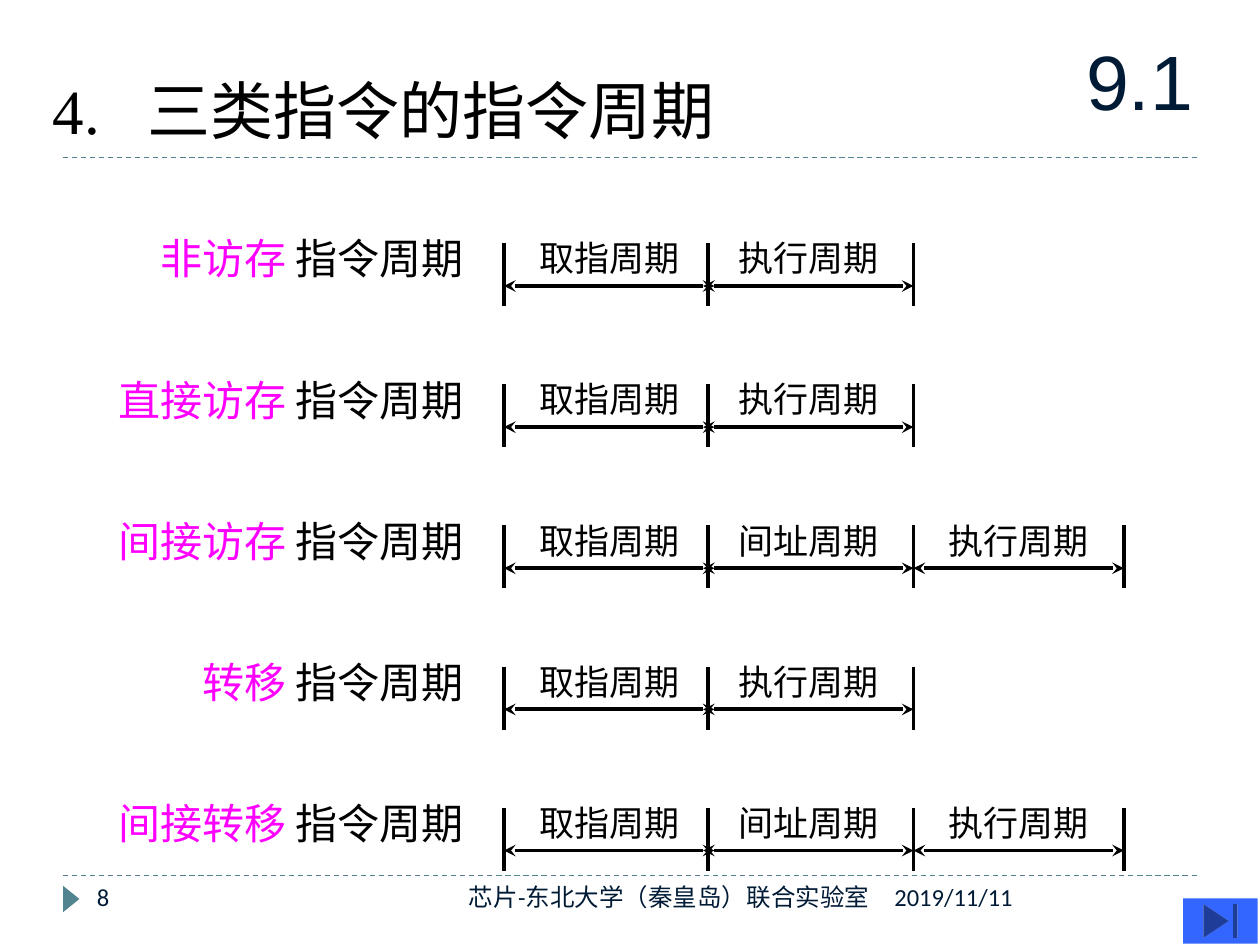
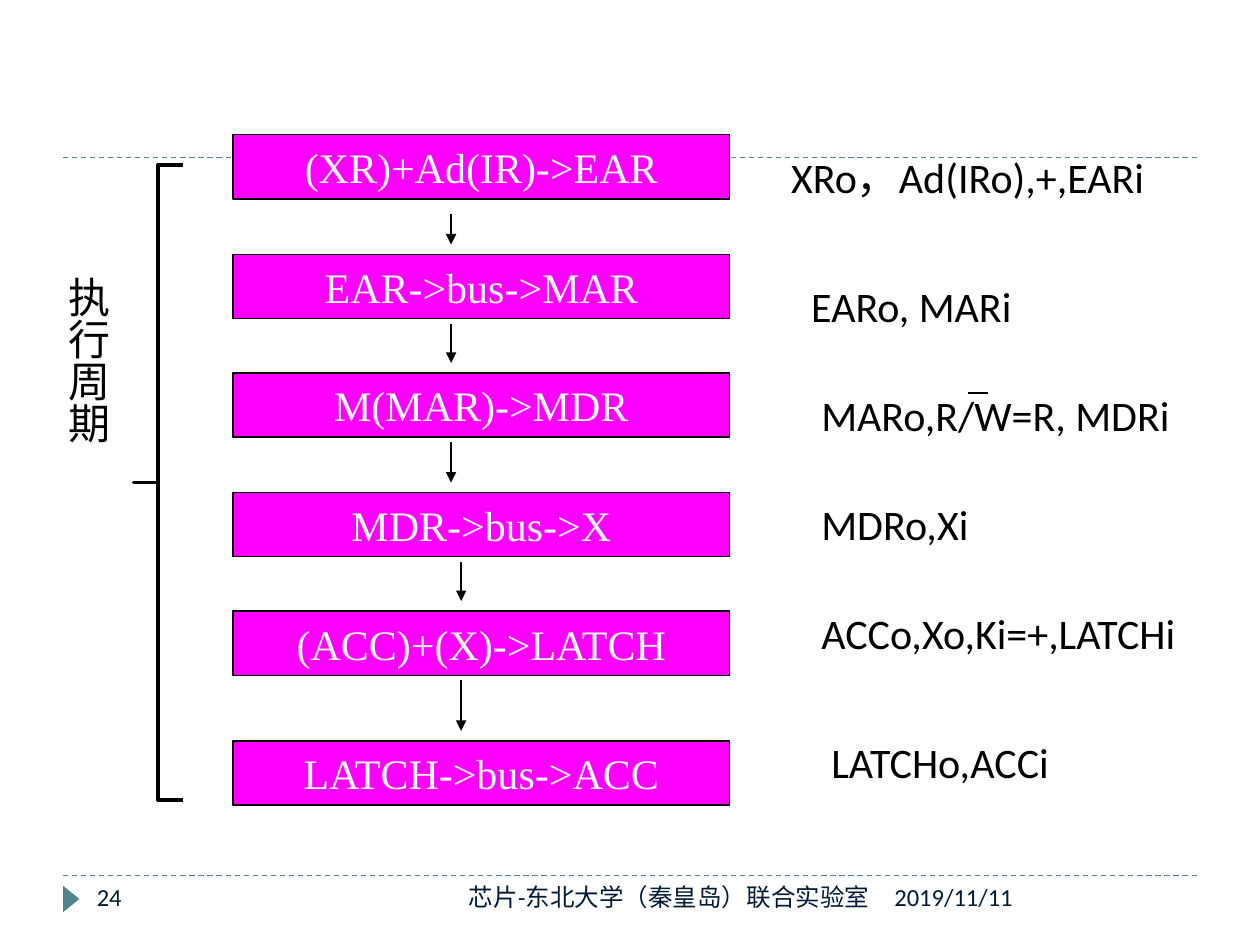
from dataclasses import dataclass

from lxml.etree import SubElement
from pptx import Presentation
from pptx.dml.color import RGBColor
from pptx.enum.dml import MSO_LINE
from pptx.enum.shapes import MSO_CONNECTOR, MSO_SHAPE as SHAPE
from pptx.enum.text import MSO_ANCHOR as ANCHOR, MSO_AUTO_SIZE, PP_ALIGN as ALIGN
from pptx.oxml.ns import qn
from pptx.util import Inches, Pt


@dataclass(frozen=True)
class Theme:
    black: str = "000000"
    navy: str = "001B36"
    teal: str = "51848E"
    magenta: str = "FF00FF"
    pale: str = "EDF8FE"
    blue: str = "3366FF"
    serif: str = "Times New Roman"
    sans: str = "Calibri"
    section_font: str = "Arial"
    section: int = 44
    title: int = 36
    body: int = 24
    label: int = 20
    footer: int = 14
    thin: float = 0.75
    medium: float = 2
    thick: float = 2.25


T = Theme()


def write(sp, text, size, font, color, align=ALIGN.LEFT, anchor=ANCHOR.TOP):
    tf = sp.text_frame
    tf.word_wrap = True
    tf.auto_size = MSO_AUTO_SIZE.NONE
    tf.vertical_anchor = anchor
    p = tf.paragraphs[0]
    p.text = text
    p.alignment = align
    for r in p.runs:
        r.font.size = Pt(size)
        r.font.name = font
        r.font.color.rgb = RGBColor.from_string(color)
    return p


def line(s, x1, y1, x2, y2, width, color=T.black, head=None, tail=None):
    c = s.shapes.add_connector(MSO_CONNECTOR.STRAIGHT, *map(Inches, (x1, y1, x2, y2)))
    c.line.width = Pt(width)
    c.line.color.rgb = RGBColor.from_string(color)
    ln = c.line._get_or_add_ln()
    for tag, kind in (("a:headEnd", head), ("a:tailEnd", tail)):
        if kind:
            SubElement(ln, qn(tag)).set("type", kind)
    SubElement(c._element.spPr, qn("a:effectLst"))
    return c


prs = Presentation()
prs.slide_width, prs.slide_height = Inches(10), Inches(7.5)

for layout, number in ((5, "8"), (6, "24")):
    s = prs.slides.add_slide(prs.slide_layouts[layout])
    for y in (6.95, 1.25):
        line(s, 0.5, y, 9.5, y, T.thin, T.teal).line.dash_style = MSO_LINE.DASH
    sp = s.shapes.add_shape(SHAPE.ISOSCELES_TRIANGLE, *map(Inches, (0.46, 7.07, 0.21, 0.13)))
    sp.rotation = 90
    sp.shadow.inherit = False
    sp.fill.solid()
    sp.fill.fore_color.rgb = RGBColor.from_string(T.teal)
    sp.line.fill.background()
    for text, x, w, align in (
        ("2019/11/11", 7, 2.5, ALIGN.LEFT),
        (number, 0.67, 2.17, ALIGN.LEFT),
        ("芯片-东北大学（秦皇岛）联合实验室", 3.17, 3.83, ALIGN.RIGHT),
    ):
        sp = s.shapes.add_textbox(*map(Inches, (x, 6.95, w, 0.4)))
        write(sp, text, T.footer, T.sans, T.navy, align)

cycles, execution = prs.slides

s = cycles
sp = s.shapes.title
sp.left, sp.top, sp.width, sp.height = map(Inches, (0.42, 0.58, 6, 0.58))
p = write(sp, "4.\t三类指令的指令周期", T.title, T.serif, T.black, anchor=ANCHOR.MIDDLE)
sp.text_frame.margin_left = sp.text_frame.margin_right = 0
tabs = SubElement(p._p.get_or_add_pPr(), qn("a:tabLst"))
SubElement(tabs, qn("a:tab"), pos=str(Inches(0.75)), algn="l")

sp = s.shapes.add_textbox(*map(Inches, (8.42, 0.17, 1.25, 0.92)))
write(sp, "9.1", T.section, T.section_font, T.navy, ALIGN.CENTER, ANCHOR.MIDDLE)

ticks = (4, 5.62, 7.25, 8.92)
starts = (4, 5.58, 7.25)
span = 1.67
short = ("取指周期", "执行周期")
full = ("取指周期", "间址周期", "执行周期")
rows = (("非访存", short), ("直接访存", short), ("间接访存", full),
        ("转移", short), ("间接转移", full))
for i, (kind, phases) in enumerate(rows):
    top = 1.93 + 1.12 * i
    for x in ticks[:len(phases) + 1]:
        line(s, x, top, x, top + 0.5, T.thick)
    for x, phase in zip(starts, phases):
        y = top + 0.34
        line(s, x, y, x + span, y, T.thick, head="stealth", tail="stealth")
        sp = s.shapes.add_textbox(*map(Inches, (x, top - 0.1, span, 0.43)))
        write(sp, phase, T.label, T.serif, T.black, ALIGN.CENTER)
    sp = s.shapes.add_textbox(*map(Inches, (0.5, top - 0.13, 3.28, 0.5)))
    p = write(sp, kind + " ", T.body, T.serif, T.magenta, ALIGN.RIGHT)
    r = p.add_run()
    r.text = "指令周期"
    r.font.size = Pt(T.body)
    r.font.name = T.serif
    r.font.color.rgb = RGBColor.from_string(T.black)

sp = s.shapes.add_shape(SHAPE.ACTION_BUTTON_END, *map(Inches, (9.39, 7.13, 0.59, 0.36)))
sp.shadow.inherit = False
sp.fill.solid()
sp.fill.fore_color.rgb = RGBColor.from_string(T.blue)
sp.line.fill.background()

s = execution
steps = (
    (1.07, "(XR)+Ad(IR)->EAR", 6.18, 1.15, "XRo，Ad(IRo),+,EARi"),
    (2.02, "EAR->bus->MAR", 6.34, 2.18, "EARo, MARi"),
    (2.96, "M(MAR)->MDR", 6.42, 3.04, "MARo,R/W=R, MDRi"),
    (3.91, "MDR->bus->X", 6.42, 3.91, "MDRo,Xi"),
    (4.85, "(ACC)+(X)->LATCH", 6.42, 4.77, "ACCo,Xo,Ki=+,LATCHi"),
    (5.88, "LATCH->bus->ACC", 6.5, 5.8, "LATCHo,ACCi"),
)
for top, operation, x, y, signals in steps:
    sp = s.shapes.add_shape(SHAPE.RECTANGLE, *map(Inches, (1.85, top, 3.94, 0.51)))
    sp.shadow.inherit = False
    sp.fill.solid()
    sp.fill.fore_color.rgb = RGBColor.from_string(T.magenta)
    sp.line.color.rgb = RGBColor.from_string(T.black)
    sp.line.width = Pt(T.thin)
    write(sp, operation, T.body, T.serif, T.pale, ALIGN.CENTER, ANCHOR.MIDDLE)
    sp = s.shapes.add_textbox(*map(Inches, (x, y, 10 - x, 0.5)))
    write(sp, signals, T.body, T.sans, T.black)

line(s, 7.68, 3.12, 7.84, 3.12, T.thin)

for x, y1, y2 in ((3.58, 1.7, 1.94), (3.58, 2.57, 2.88), (3.58, 3.51, 3.83),
                  (3.66, 4.46, 4.77), (3.66, 5.4, 5.8)):
    line(s, x, y1, x, y2, T.thin, tail="triangle")

sp = s.shapes.add_shape(SHAPE.LEFT_BRACE, *map(Inches, (1.06, 1.31, 0.39, 5.04)))
sp.adjustments[0] = 0
sp.shadow.inherit = False
sp.fill.background()
sp.line.color.rgb = RGBColor.from_string(T.black)
sp.line.width = Pt(T.medium)

sp = s.shapes.add_textbox(*map(Inches, (0.35, 2.1, 0.6, 3.15)))
write(sp, "执行周期", T.body, T.sans, T.black)
sp.text_frame._txBody.bodyPr.set("vert", "eaVert")

prs.save("out.pptx")
